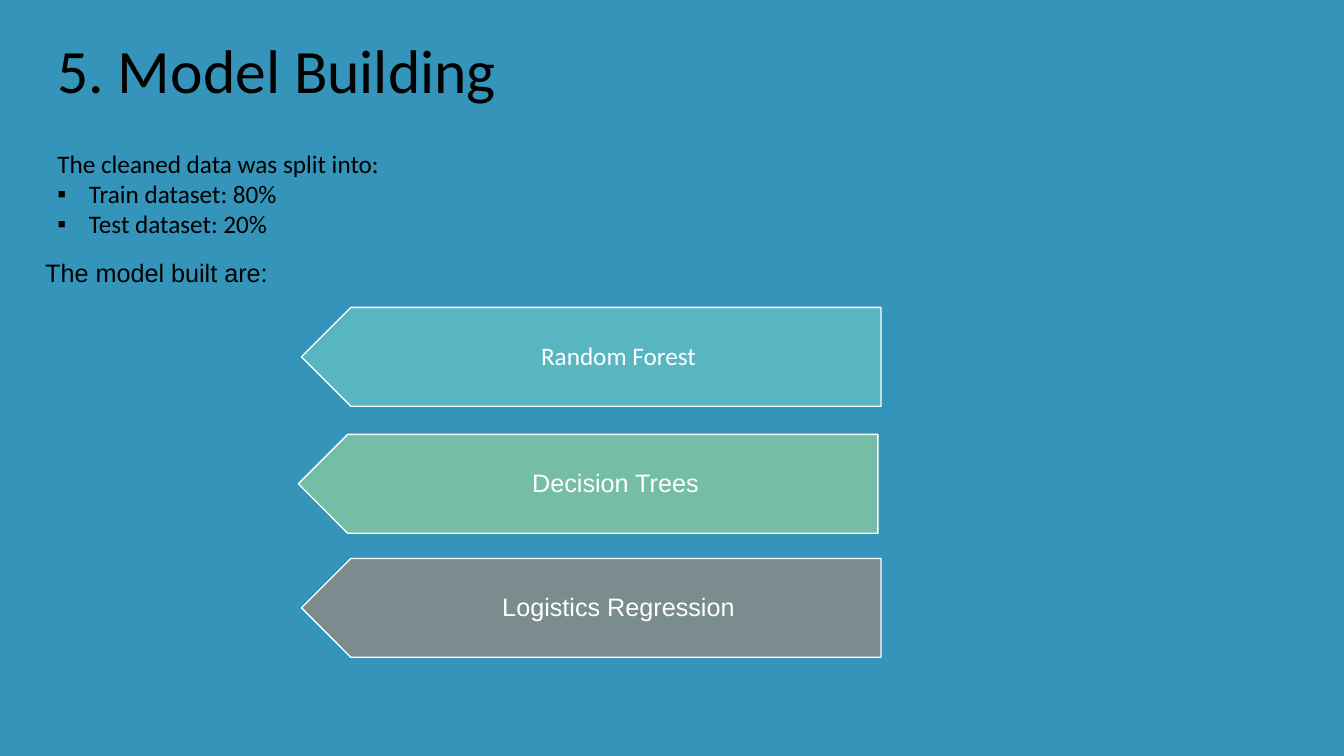
from dataclasses import dataclass

from lxml.etree import SubElement
from pptx import Presentation
from pptx.dml.color import RGBColor
from pptx.enum.text import MSO_ANCHOR, MSO_AUTO_SIZE, PP_ALIGN
from pptx.oxml.ns import qn
from pptx.util import Pt


@dataclass(frozen=True)
class Theme:
    """Colours, fonts and type sizes of the slide."""
    back: str = "3494BA"
    ink: str = "000000"
    pale: str = "FFFFFF"
    teal: str = "58B6C0"
    green: str = "75BDA7"
    gray: str = "7A8C8E"
    main: str = "Calibri"
    other: str = "Arial"
    large: float = 44
    text: float = 18


THEME = Theme()
WIDE, HIGH, TIP = 414, 70.6, 35.3


def paint(fill, color):
    """Give a fill one solid colour."""
    fill.solid()
    fill.fore_color.rgb = RGBColor.from_string(color)


def style(para, face, size, color):
    """Format the runs of a paragraph."""
    for run in para.runs:
        run.font.name = face
        run.font.size = Pt(size)
        run.font.color.rgb = RGBColor.from_string(color)


def place(shape, left, top, width, height):
    """Move a text shape and let its text flow from the top left."""
    shape.left, shape.top = Pt(left), Pt(top)
    shape.width, shape.height = Pt(width), Pt(height)
    frame = shape.text_frame
    frame.word_wrap = True
    frame.auto_size = MSO_AUTO_SIZE.NONE
    frame.vertical_anchor = MSO_ANCHOR.TOP


def write(shape, text, face, size):
    """Write one dark line, aligned left."""
    shape.text_frame.text = text
    para = shape.text_frame.paragraphs[0]
    para.alignment = PP_ALIGN.LEFT
    style(para, face, size, THEME.ink)


def bullet(para, mark, indent):
    """Set the bullet mark of a paragraph, or none."""
    props = para._p.get_or_add_pPr()
    props.set("marL", str(Pt(indent)))
    props.set("indent", str(Pt(-indent)))
    if mark:
        font = SubElement(props, qn("a:buFont"))
        font.set("typeface", THEME.other)
        SubElement(props, qn("a:buChar")).set("char", mark)
    else:
        SubElement(props, qn("a:buNone"))


def fill_list(shape, lead, items):
    """Write a lead line followed by bulleted items."""
    frame = shape.text_frame
    frame.text = "\n".join([lead, *items])
    for num, para in enumerate(frame.paragraphs):
        bullet(para, "▪" if num else "", 22.5 if num else 0)
        para.space_before = Pt(0)
        style(para, THEME.main, THEME.text, THEME.ink)


def add_arrow(slide, left, top, text, color, face):
    """Draw a block that points left, with a centred label."""
    right, base = left + WIDE, top + HIGH
    neck = left + TIP
    form = slide.shapes.build_freeform(Pt(right), Pt(base))
    points = [(neck, base), (left, top + HIGH / 2), (neck, top), (right, top)]
    form.add_line_segments([(Pt(x), Pt(y)) for x, y in points], close=True)
    shape = form.convert_to_shape()
    shape.shadow.inherit = False
    paint(shape.fill, color)
    paint(shape.line.fill, THEME.pale)
    shape.line.width = Pt(1)
    frame = shape.text_frame
    frame.word_wrap = True
    frame.vertical_anchor = MSO_ANCHOR.MIDDLE
    frame.margin_left, frame.margin_right = Pt(49), Pt(10)
    frame.margin_top = frame.margin_bottom = Pt(5.5)
    frame.text = text
    para = frame.paragraphs[0]
    para.alignment = PP_ALIGN.CENTER
    para.line_spacing = 0.9
    style(para, face, THEME.text, THEME.pale)


def main():
    """Build and save the slide."""
    deck = Presentation()
    deck.slide_width, deck.slide_height = Pt(960), Pt(540)
    slide = deck.slides.add_slide(deck.slide_layouts[1])
    paint(slide.background.fill, THEME.back)

    title, body = slide.placeholders
    place(title, 33.8, 19.4, 828, 60.5)
    write(title, "5. Model Building", THEME.main, THEME.large)

    label = slide.shapes.add_textbox(0, 0, 0, 0)
    place(label, 25.2, 180, 477.4, 28.8)
    write(label, "The model built are:", THEME.other, THEME.text)

    place(body, 33.8, 102.2, 648.7, 94.3)
    fill_list(body, "The cleaned data was split into:",
              ["Train dataset: 80%", "Test dataset: 20%"])

    models = [
        (215.3, 219.6, "Random Forest", THEME.teal, THEME.main),
        (213.1, 310.3, "Decision Trees", THEME.green, THEME.other),
        (215.3, 398.9, "Logistics Regression", THEME.gray, THEME.other),
    ]
    for model in models:
        add_arrow(slide, *model)

    deck.save("out.pptx")


if __name__ == "__main__":
    main()
